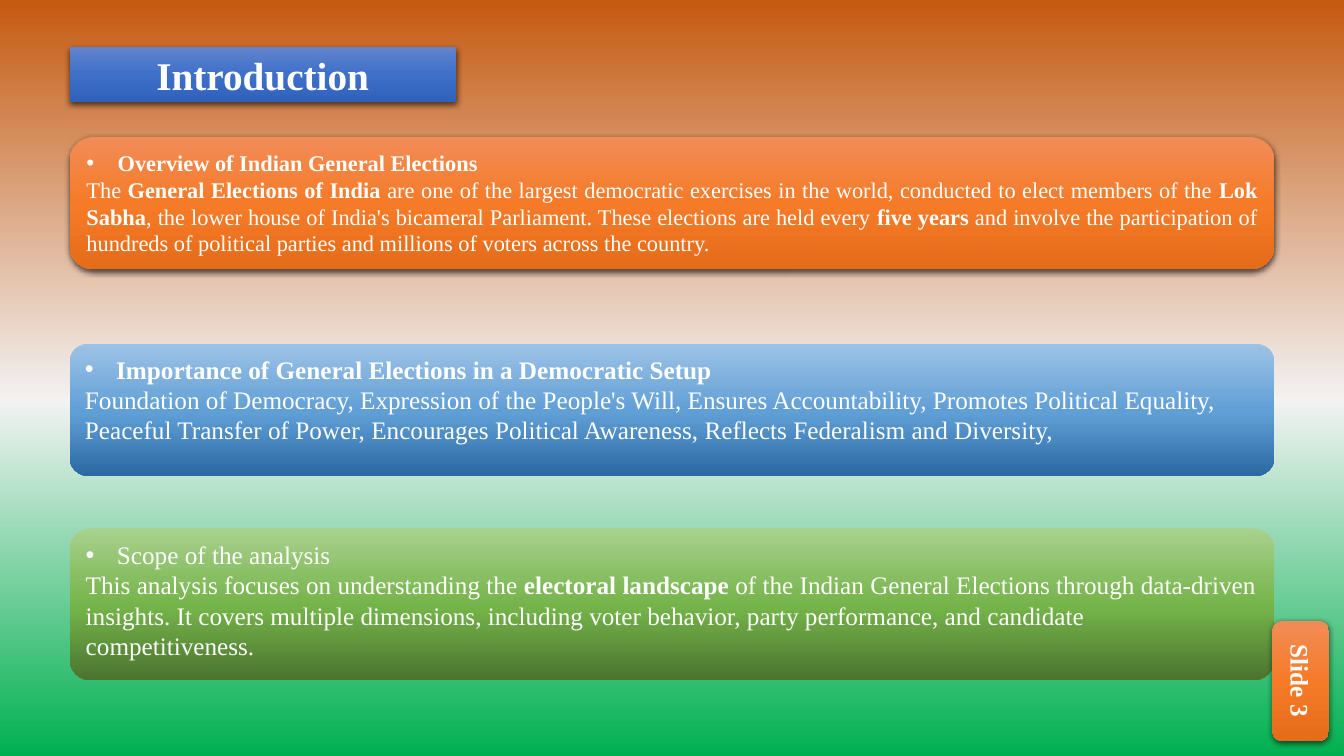
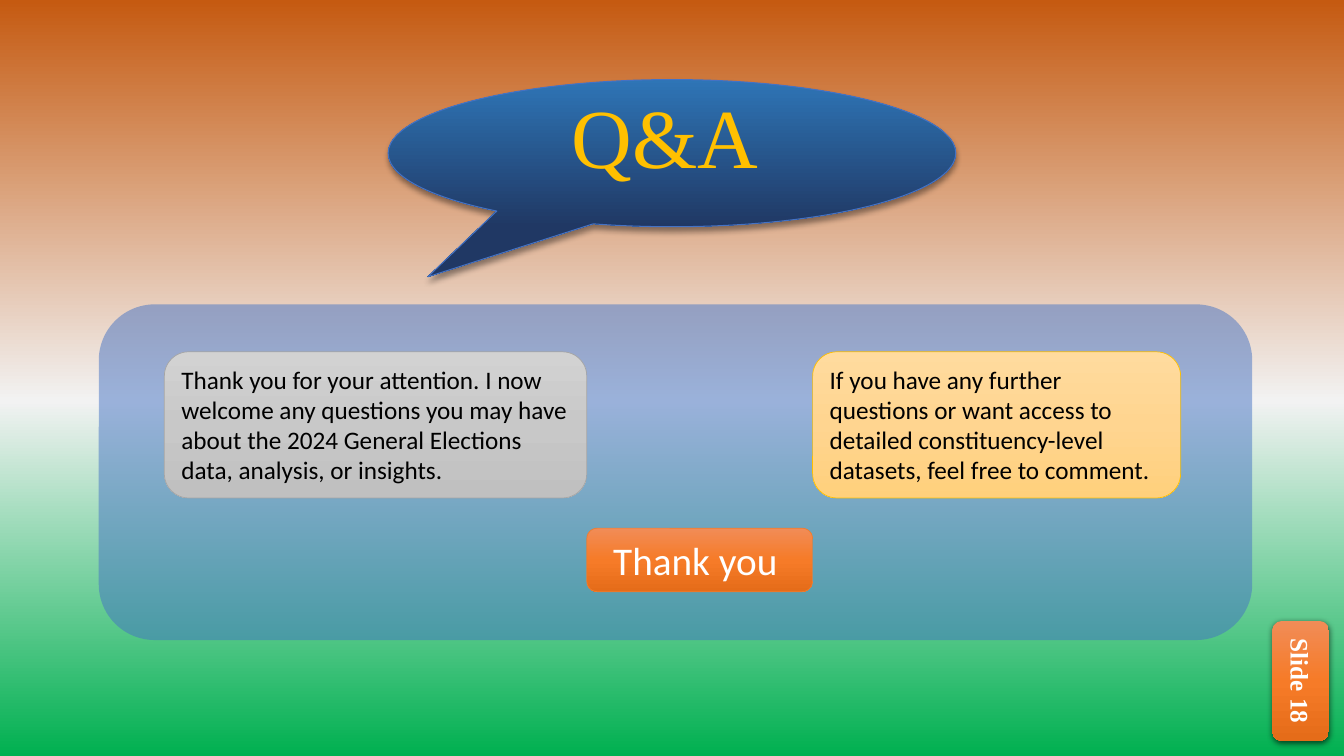
from dataclasses import dataclass
from lxml.etree import SubElement
from pptx import Presentation
from pptx.dml.color import RGBColor
from pptx.enum.shapes import MSO_SHAPE
from pptx.enum.text import MSO_ANCHOR, MSO_AUTO_SIZE, PP_ALIGN
from pptx.oxml.ns import qn
from pptx.util import Emu, Inches, Pt


@dataclass(frozen=True)
class Theme:
    serif: str = "Times New Roman"
    sans: str = "Calibri"
    white: str = "FFFFFF"
    black: str = "000000"
    gold: str = "FFC000"
    blue: str = "4472C4"
    gray: str = "A5A5A5"
    rust: str = "ED7D31"
    flag: tuple = ((0, "C55A11"), (53, "F2F2F2"), (100, "00B050"))
    royal: tuple = ((0, "6183CB"), (50, "3E70CA"), (100, "3062BB"))
    orange: tuple = ((0, "F18C57"), (50, "F67B28"), (100, "E56C19"))
    sky: tuple = ((0, "9DC3E6"), (52, "609ED6"), (100, "2A69A2"))
    leaf: tuple = ((0, "A9D18E"), (52, "74B349"), (100, "4B7430"))
    navy: tuple = ((0, "2E75B6"), (100, "203864"))
    cream: tuple = ((0, "FFDB9E"), (50, "FFD590"), (100, "FFD07C"))
    silver: tuple = ((0, "D2D2D2"), (50, "C8C8C8"), (100, "C0C0C0"))
    small: int = 16
    body: int = 18
    head: int = 28
    hero: int = 60


T = Theme()
WIDE, HIGH = 13.33, 7.5
EDGE = 0.69
SPAN = WIDE - 2 * EDGE
RAISED = (63, 4.5, 1.5)
SOFT = (40, 4, 3)

INTRO = "Introduction"
CARDS = [
    dict(top=1.36, high=1.31, fill=T.orange, round=0.18, shade=RAISED,
         size=T.small, align=PP_ALIGN.JUSTIFY, text=[
             "• **Overview of Indian General Elections**",
             "The **General Elections of India** are one of the largest democratic "
             "exercises in the world, conducted to elect members of the **Lok Sabha**, "
             "the lower house of India's bicameral Parliament. These elections are held "
             "every **five years** and involve the participation of hundreds of political "
             "parties and millions of voters across the country."]),
    dict(top=3.41, high=1.31, fill=T.sky, round=0.14, shade=None,
         size=T.body, align=PP_ALIGN.LEFT, text=[
             "• **Importance of General Elections in a Democratic Setup**",
             "Foundation of Democracy, Expression of the People's Will, Ensures "
             "Accountability, Promotes Political Equality,",
             "Peaceful Transfer of Power, Encourages Political Awareness, Reflects "
             "Federalism and Diversity,"]),
    dict(top=5.24, high=1.51, fill=T.leaf, round=0.14, shade=None,
         size=T.body, align=PP_ALIGN.LEFT, text=[
             "• Scope of the analysis",
             "This analysis focuses on understanding the **electoral landscape** of the "
             "Indian General Elections through data-driven insights. It covers multiple "
             "dimensions, including voter behavior, party performance, and candidate "
             "competitiveness."]),
]
CLOSE = "Q&A"
NOTES = [
    dict(left=1.63, wide=4.19, fill=T.silver, line=T.gray,
         text="Thank you for your attention. I now welcome any questions you may have "
              "about the 2024 General Elections data, analysis, or insights."),
    dict(left=8.06, wide=3.65, fill=T.cream, line=T.gold,
         text="If you have any further questions or want access to detailed "
              "constituency-level datasets, feel free to comment."),
]
THANKS = "Thank you "


def blend(fill, root, stops):
    fill.gradient()
    grad = root.find(".//" + qn("a:gradFill"))
    band = grad.find(qn("a:gsLst"))
    for old in list(band):
        band.remove(old)
    for pos, tone in stops:
        stop = SubElement(band, qn("a:gs"), pos=str(pos * 1000))
        SubElement(stop, qn("a:srgbClr"), val=tone)
    grad.find(qn("a:lin")).set("ang", "5400000")


def place(shape, box):
    shape.left, shape.top, shape.width, shape.height = map(Inches, box)


def style(shape, fill, line=None, weight=0.5, shade=None, alpha=None):
    props = shape._element.spPr
    if isinstance(fill, tuple):
        blend(shape.fill, props, fill)
    else:
        shape.fill.solid()
        shape.fill.fore_color.rgb = RGBColor.from_string(fill)
        if alpha:
            tone = props.find(".//" + qn("a:srgbClr"))
            SubElement(tone, qn("a:alpha"), val=str(alpha * 1000))
    if line:
        shape.line.color.rgb = RGBColor.from_string(line)
        shape.line.width = Pt(weight)
    else:
        shape.line.fill.background()
    shape.shadow.inherit = False
    if shade:
        dark, blur, dist = shade
        cast = SubElement(props.find(qn("a:effectLst")), qn("a:outerShdw"),
                          blurRad=str(Pt(blur)), dist=str(Pt(dist)),
                          dir="5400000", algn="ctr", rotWithShape="0")
        tone = SubElement(cast, qn("a:srgbClr"), val=T.black)
        SubElement(tone, qn("a:alpha"), val=str(dark * 1000))


def draw(slide, box, kind=MSO_SHAPE.ROUNDED_RECTANGLE, adjust=(), **look):
    shape = slide.shapes.add_shape(kind, *map(Inches, box))
    for spot, value in enumerate(adjust):
        shape.adjustments[spot] = value
    style(shape, **look)
    return shape


def write(shape, text, size=T.body, font=T.serif, color=T.white, bold=False,
          align=PP_ALIGN.LEFT, anchor=MSO_ANCHOR.TOP, grow=False, turn=False):
    frame = shape.text_frame
    frame.word_wrap = True
    frame.auto_size = MSO_AUTO_SIZE.SHAPE_TO_FIT_TEXT if grow else MSO_AUTO_SIZE.NONE
    frame.vertical_anchor = anchor
    if turn:
        frame._txBody.bodyPr.set("vert", "vert")
    lines = [text] if isinstance(text, str) else text
    for row, line in enumerate(lines):
        para = frame.add_paragraph() if row else frame.paragraphs[0]
        para.alignment = align
        if line.startswith("• "):
            props = para._p.get_or_add_pPr()
            props.set("marL", str(Inches(0.31)))
            props.set("indent", str(-Inches(0.31)))
            SubElement(props, qn("a:buFont"), typeface="Arial")
            SubElement(props, qn("a:buChar"), char="•")
            line = line[2:]
        for part, words in enumerate(line.split("**")):
            if words:
                run = para.add_run()
                run.text = words
                run.font.size = Pt(size)
                run.font.name = font
                run.font.bold = bold or part % 2 == 1
                run.font.color.rgb = RGBColor.from_string(color)


def tag(slide, number):
    shape = draw(slide, (12.62, 6.16, 0.56, 1.19), fill=T.orange, shade=RAISED)
    write(shape, f"Slide {number}", bold=True, align=PP_ALIGN.CENTER,
          anchor=MSO_ANCHOR.MIDDLE, turn=True)


def intro(slide):
    title = slide.shapes.title
    place(title, (EDGE, 0.47, 3.83, 0.54))
    shell = title._element.spPr
    geom = SubElement(shell, qn("a:prstGeom"), prst="roundRect")
    SubElement(geom, qn("a:avLst"))
    style(title, T.royal, shade=RAISED)
    write(title, INTRO, size=T.head, bold=True, align=PP_ALIGN.CENTER,
          anchor=MSO_ANCHOR.MIDDLE)
    for card in CARDS:
        shape = draw(slide, (EDGE, card["top"], SPAN, card["high"]),
                     adjust=[card["round"]], fill=card["fill"], shade=card["shade"])
        write(shape, card["text"], size=card["size"], align=card["align"])
    tag(slide, 3)


def close(slide):
    draw(slide, (3.85, 0.79, 5.63, 1.46), MSO_SHAPE.OVAL_CALLOUT, (-0.43, 0.84),
         fill=T.navy, line=T.blue, weight=0.75, shade=SOFT)
    title = slide.shapes.title
    place(title, (5.57, 0.79, 2.8, 1.11))
    write(title, CLOSE, size=T.hero, color=T.gold, grow=True)
    slide.shapes._spTree.append(title._element)
    draw(slide, (0.98, 3.02, 11.44, 3.33), fill=T.blue, alpha=50)
    for note in NOTES:
        shape = draw(slide, (note["left"], 3.49, note["wide"], 1.45),
                     fill=note["fill"], line=note["line"])
        write(shape, note["text"], font=T.sans, color=T.black, grow=True)
    start = NOTES[0]["left"] + NOTES[0]["wide"]
    shape = draw(slide, (start, 5.24, NOTES[1]["left"] - start, 0.63),
                 fill=T.orange, line=T.rust)
    write(shape, THANKS, size=T.head, font=T.sans, align=PP_ALIGN.CENTER, grow=True)
    tag(slide, 18)


def main():
    deck = Presentation()
    deck.slide_width, deck.slide_height = Emu(Inches(WIDE)), Emu(Inches(HIGH))
    master = deck.slide_master
    blend(master.background.fill, master._element, T.flag)
    for build in (intro, close):
        build(deck.slides.add_slide(deck.slide_layouts[5]))
    deck.save("out.pptx")


if __name__ == "__main__":
    main()
